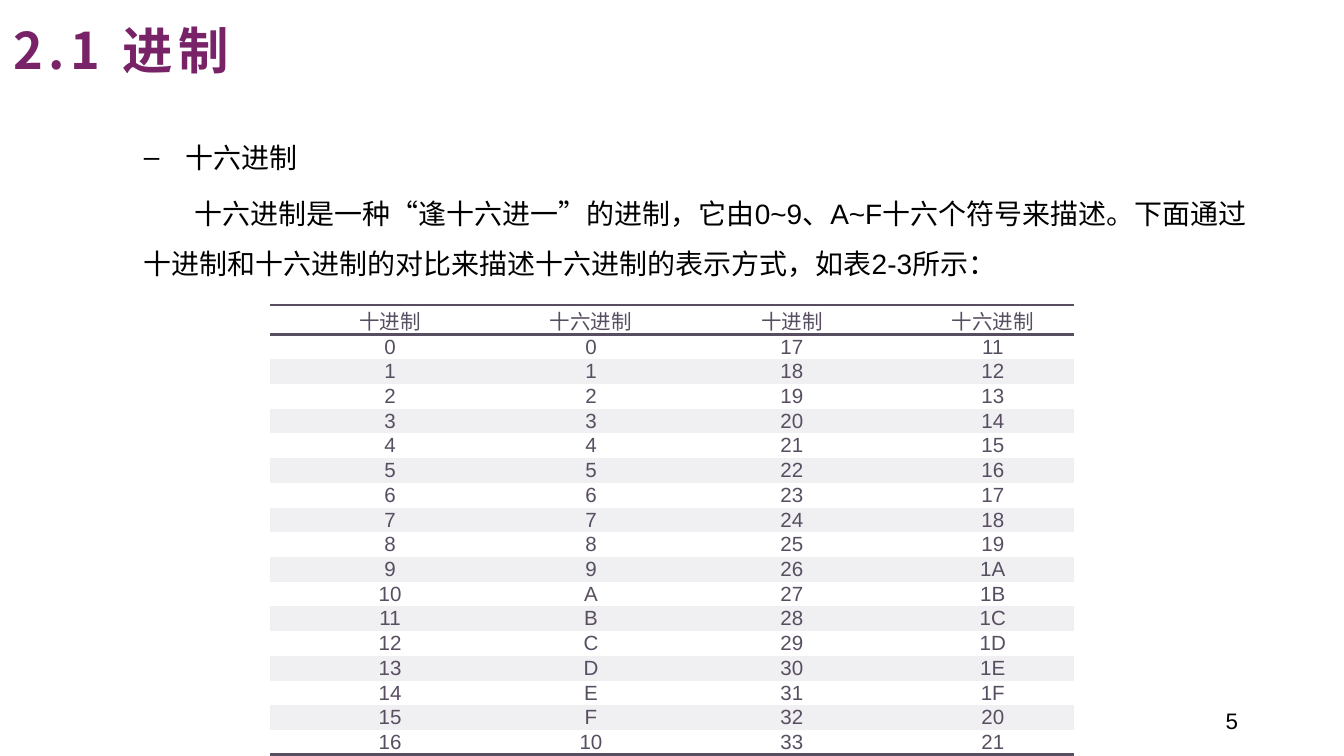
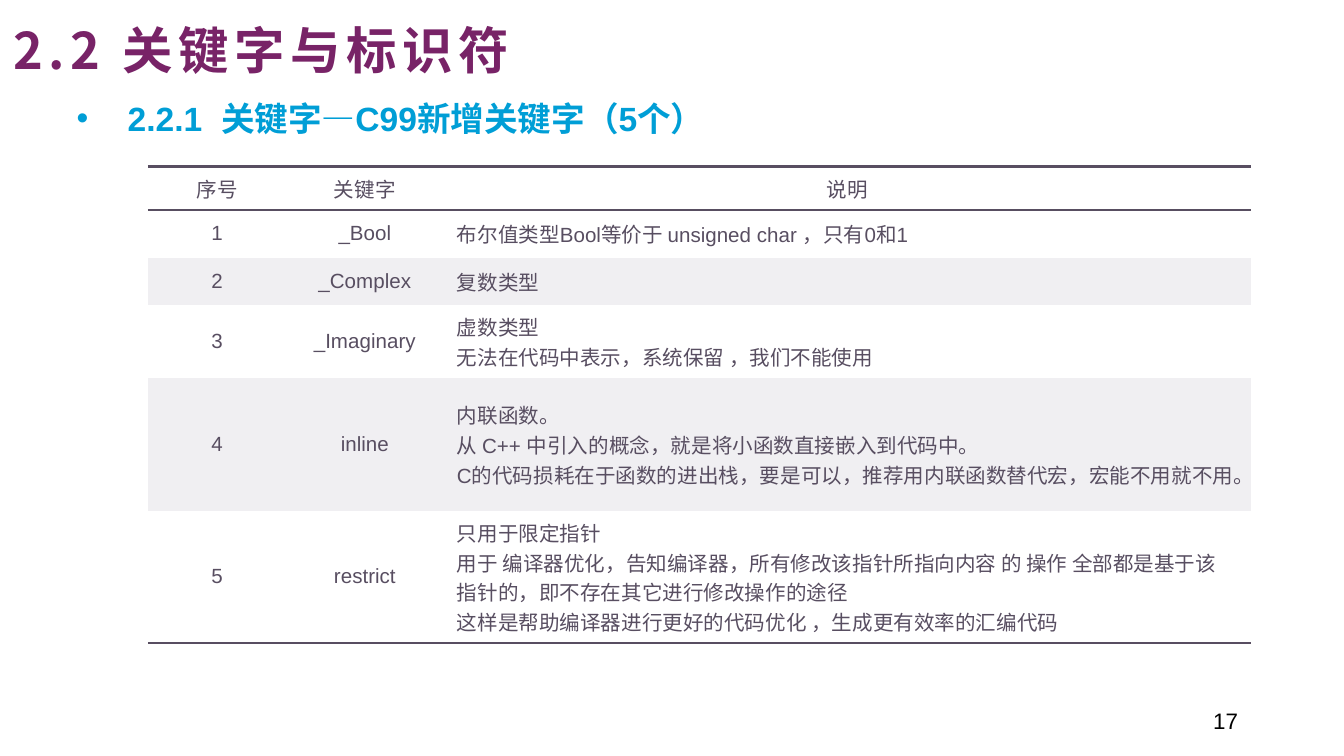
from lxml.etree import SubElement
from pptx import Presentation
from pptx.dml.color import RGBColor
from pptx.enum.text import MSO_ANCHOR as Anchor, PP_ALIGN as Align
from pptx.oxml.ns import qn
from pptx.util import Inches, Pt

# Shared look
CELL = 0.1  # inches per grid column and row
PLUM, SKY, SLATE = "782367", "009ED6", "584E61"
BLACK, WHITE, MIST = "000000", "FFFFFF", "F0EFF2"
LATIN, CHINESE = "Arial", "Noto Sans CJK SC"
BODY_INSETS = (0.07, 0.04)


def color(hex_string):
    return RGBColor.from_string(hex_string)


def grid(*units):
    """Turn grid units into slide lengths."""
    return [Inches(unit * CELL) for unit in units]


def write(para, text, size=11, ink=SLATE, bold=False, font=LATIN, tracking=0,
          align=None, left=0, indent=0, bullet=None, spacing=None, before=None):
    """Fill one paragraph with formatted text; indents are in inches."""
    props = para._p.get_or_add_pPr()
    props.set("marL", str(Inches(left)))
    props.set("indent", str(Inches(indent)))
    if bullet:
        SubElement(props, qn("a:buFont")).set("typeface", LATIN)
        SubElement(props, qn("a:buChar")).set("char", bullet)
    if align is not None:
        para.alignment = align
    if spacing:
        para.line_spacing = spacing
    if before:
        para.space_before = Pt(before)
    para.font.size, para.font.name = Pt(size), font
    span = para.add_run()
    span.text = text
    span.font.size, span.font.bold, span.font.name = Pt(size), bold, font
    span.font.color.rgb = color(ink)
    run_props = span._r.get_or_add_rPr()
    SubElement(run_props, qn("a:ea")).set("typeface", CHINESE)
    if tracking:
        run_props.set("spc", str(tracking * 100))


def add_text_box(page, area, insets=(0.1, 0.05)):
    box = page.shapes.add_textbox(*grid(*area))
    frame = box.text_frame
    frame.word_wrap = True
    frame.margin_left = frame.margin_right = Inches(insets[0])
    frame.margin_top = frame.margin_bottom = Inches(insets[1])
    return frame


def add_page(deck, title, number):
    """Start a slide with the shared title and page number."""
    page = deck.slides.add_slide(deck.slide_layouts[6])
    heading = add_text_box(page, (0, 0.9, 64, 5.9))
    write(heading.paragraphs[0], title, size=27, ink=PLUM, bold=True,
          font=CHINESE, tracking=3)
    footer = add_text_box(page, (70.6, 52.1, 22.5, 3))
    write(footer.paragraphs[0], str(number), size=12, ink=BLACK,
          align=Align.RIGHT)
    return page


def rule_cell(cell, ruled):
    """Draw the ruled sides of a table cell and clear the others."""
    props = cell._tc.get_or_add_tcPr()
    for side in "LRTB":
        line = SubElement(props, qn(f"a:ln{side}"))
        if side in ruled:
            line.set("w", str(Pt(1.5)))
            fill = SubElement(line, qn("a:solidFill"))
            SubElement(fill, qn("a:srgbClr"), val=SLATE)
        else:
            SubElement(line, qn("a:noFill"))


def add_ruled_table(page, area, columns, heights, rows, insets=(0.1, 0.05),
                    indent=0, prose_column=None, header_anchor=Anchor.MIDDLE):
    """Add a banded table ruled above, under its header and below."""
    shape = page.shapes.add_table(len(rows), len(columns), *grid(*area))
    table = shape.table
    table.first_row = table.horz_banding = False
    table_props = table._tbl.tblPr
    table_props.remove(table_props.find(qn("a:tableStyleId")))
    for column, width in zip(table.columns, columns):
        column.width = grid(width)[0]
    for row, height in zip(table.rows, heights):
        row.height = grid(height)[0]

    last = len(rows) - 1
    for r, values in enumerate(rows):
        ruled = {0: "TB", 1: "T", last: "B"}.get(r, "")
        for c, value in enumerate(values):
            cell = table.cell(r, c)
            rule_cell(cell, ruled)
            cell.fill.solid()
            banded = r > 0 and r % 2 == 0
            cell.fill.fore_color.rgb = color(MIST if banded else WHITE)
            cell.vertical_anchor = header_anchor if r == 0 else Anchor.MIDDLE
            cell.margin_left = cell.margin_right = Inches(insets[0])
            cell.margin_top = cell.margin_bottom = Inches(insets[1])
            prose = r > 0 and c == prose_column
            frame = cell.text_frame
            for i, line in enumerate(value.split("\n")):
                para = frame.add_paragraph() if i else frame.paragraphs[0]
                write(para, line, indent=indent,
                      align=Align.LEFT if prose else Align.CENTER)


def add_hexadecimal_page(deck):
    page = add_page(deck, "2.1 进制", 5)

    # Explanation
    body = add_text_box(page, (5, 8.8, 90, 41.5), BODY_INSETS)
    write(body.paragraphs[0], "十六进制", size=15, ink=BLACK, left=0.81,
          indent=-0.31, bullet="–", spacing=1.5)
    write(body.add_paragraph(),
          "十六进制是一种“逢十六进一”的进制，它由0~9、A~F十六个符号来描述。"
          "下面通过十进制和十六进制的对比来描述十六进制的表示方式，如表2-3所示：",
          size=15, ink=BLACK, left=0.5, indent=0.38, spacing=1.5, before=3)

    # Decimal and hexadecimal side by side, in two halves
    half = 17
    rows = [["十进制", "十六进制"] * 2]
    for n in range(half):
        rows.append([f"{n}", f"{n:X}", f"{n + half}", f"{n + half:X}"])
    add_ruled_table(page, (20.1, 22.7, 59.8, 26.7), [14.95] * 4,
                    [2.2] + [1.48] * half, rows, insets=(0.06, 0), indent=0.29,
                    header_anchor=Anchor.TOP)


def add_keyword_page(deck):
    page = add_page(deck, "2.2 关键字与标识符", 17)

    # Section heading
    body = add_text_box(page, (5, 5.4, 90, 6.3), BODY_INSETS)
    write(body.paragraphs[0], "2.2.1  关键字—C99新增关键字（5个）", size=18,
          ink=SKY, bold=True, left=0.38, indent=-0.38, bullet="•", spacing=1.5)

    # Keywords added by C99
    rows = [
        ("序号", "关键字", "说明"),
        ("1", "_Bool", "布尔值类型Bool等价于 unsigned char ，只有0和1"),
        ("2", "_Complex", "复数类型"),
        ("3", "_Imaginary",
         "虚数类型\n无法在代码中表示，系统保留 ，我们不能使用"),
        ("4", "inline",
         "内联函数。\n从 C++ 中引入的概念，就是将小函数直接嵌入到代码中。\n"
         "C的代码损耗在于函数的进出栈，要是可以，推荐用内联函数替代宏，"
         "宏能不用就不用。"),
        ("5", "restrict",
         "只用于限定指针\n用于 编译器优化，告知编译器，所有修改该指针所指向内容 的 "
         "操作 全部都是基于该指针的，即不存在其它进行修改操作的途径\n"
         "这样是帮助编译器进行更好的代码优化 ，生成更有效率的汇编代码"),
    ]
    add_ruled_table(page, (11, 12.4, 82.1, 42.3), [10.3, 11.7, 60.1],
                    [3.22, 3.55, 3.55, 5.43, 9.85, 9.85], rows,
                    prose_column=2)


def main():
    deck = Presentation()
    deck.slide_width = Inches(10)
    deck.slide_height = deck.slide_width * 9 // 16
    add_hexadecimal_page(deck)
    add_keyword_page(deck)
    deck.save("out.pptx")


if __name__ == "__main__":
    main()
